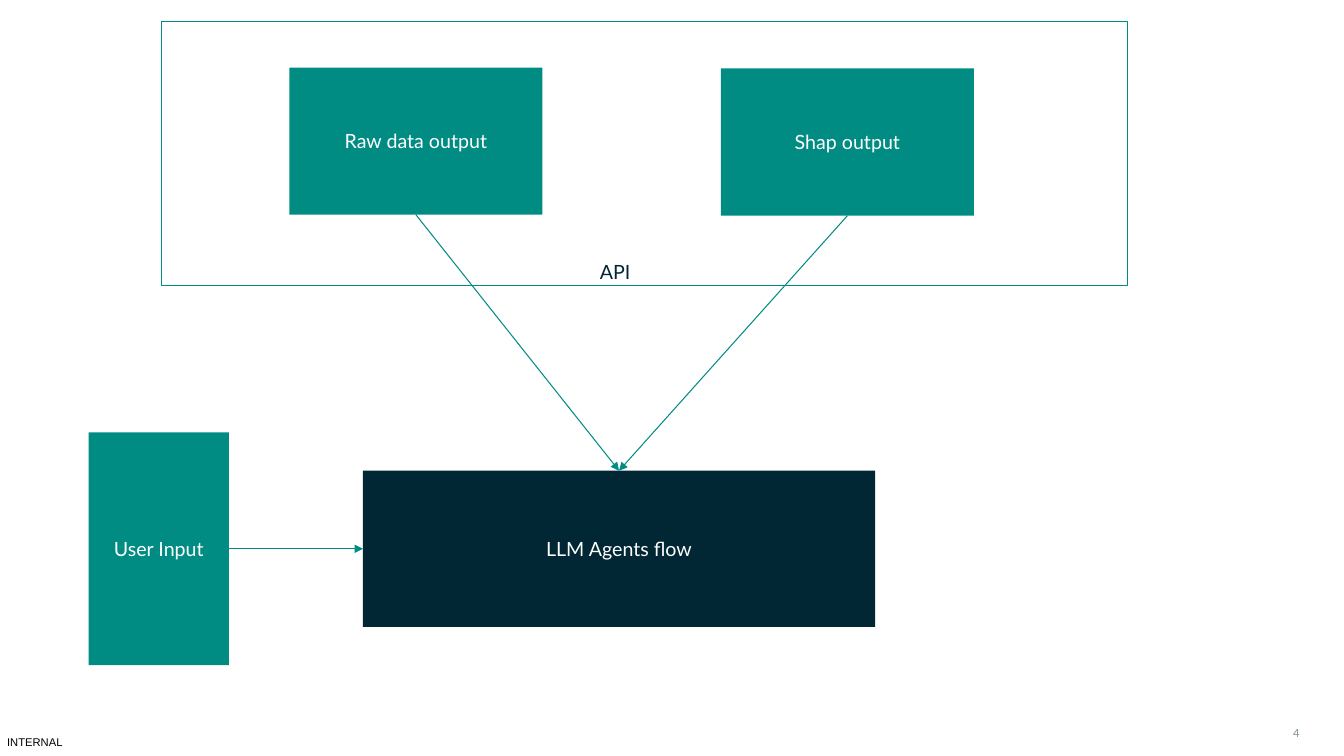
from dataclasses import dataclass

from lxml.etree import SubElement
from pptx import Presentation
from pptx.dml.color import RGBColor as Rgb
from pptx.enum.shapes import MSO_CONNECTOR as Link, MSO_SHAPE as Shape
from pptx.enum.text import MSO_ANCHOR as Anchor, PP_ALIGN as Align
from pptx.oxml.ns import qn
from pptx.util import Inches, Pt

TOP, LEFT, BOTTOM, RIGHT = range(4)


@dataclass(frozen=True)
class Theme:
    """Colours, fonts and sizes of the slide."""
    teal: str = "008C82"
    navy: str = "002733"
    white: str = "FFFFFF"
    black: str = "000000"
    grey: str = "809399"
    font: str = "Lato"
    plain: str = "Arial"
    body: float = 14
    small: float = 8
    line: float = 0.75
    pad: float = 0.2


class Flow:
    """Draws boxes, labels and arrows on one slide."""

    def __init__(self, slide, theme):
        self.shapes = slide.shapes
        self.theme = theme

    def letter(self, frame, text, color, size, font, align, anchor, pad):
        frame.word_wrap = True
        frame.vertical_anchor = anchor
        frame.margin_left = frame.margin_right = Inches(pad)
        frame.margin_top = frame.margin_bottom = Inches(pad)
        frame.text = text
        para = frame.paragraphs[0]
        para.alignment = align
        face = para.runs[0].font
        face.name, face.size = font, Pt(size)
        face.color.rgb = Rgb.from_string(color)

    def rect(self, area):
        shape = self.shapes.add_shape(Shape.RECTANGLE, *map(Inches, area))
        shape.shadow.inherit = False
        return shape

    def box(self, text, area, fill):
        shape = self.rect(area)
        shape.fill.solid()
        shape.fill.fore_color.rgb = Rgb.from_string(fill)
        shape.line.fill.background()
        look = self.theme
        self.letter(shape.text_frame, text, look.white, look.body, look.font,
                    Align.CENTER, Anchor.MIDDLE, look.pad)
        return shape

    def frame(self, area):
        shape = self.rect(area)
        shape.fill.background()
        self.stroke(shape.line)

    def label(self, text, area, color, size, font,
              align=Align.LEFT, anchor=Anchor.TOP):
        box = self.shapes.add_textbox(*map(Inches, area))
        self.letter(box.text_frame, text, color, size, font, align, anchor, 0)

    def stroke(self, line):
        line.color.rgb = Rgb.from_string(self.theme.teal)
        line.width = Pt(self.theme.line)

    def arrow(self, start, out, end, into):
        link = self.shapes.add_connector(Link.STRAIGHT, 0, 0, 0, 0)
        link.begin_connect(start, out)
        link.end_connect(end, into)
        self.stroke(link.line)
        props = link._element.spPr
        SubElement(props.find(qn("a:ln")), qn("a:tailEnd"), type="triangle")
        SubElement(props, qn("a:effectLst"))


def main():
    """Build the agent flow slide."""
    deck = Presentation()
    deck.slide_width, deck.slide_height = Inches(13.33), Inches(7.5)
    look = Theme()
    flow = Flow(deck.slides.add_slide(deck.slide_layouts[6]), look)

    flow.label("INTERNAL", (0.07, 7.3, 0.58, 0.13),
               look.black, look.small, look.plain)
    flow.label("4", (12.5, 7.2, 0.39, 0.14), look.grey, look.small, look.font,
               Align.RIGHT, Anchor.MIDDLE)

    raw = flow.box("Raw data output", (2.87, 0.67, 2.51, 1.46), look.teal)
    agents = flow.box("LLM Agents flow", (3.6, 4.67, 5.08, 1.55), look.navy)
    shap = flow.box("Shap output", (7.15, 0.68, 2.51, 1.46), look.teal)
    flow.frame((1.6, 0.21, 9.58, 2.62))
    flow.label("API", (5.95, 2.58, 1.01, 0.24),
               look.navy, look.body, look.font)
    user = flow.box("User Input", (0.88, 4.29, 1.39, 2.31), look.teal)

    for data in (raw, shap):
        flow.arrow(data, BOTTOM, agents, TOP)
    flow.arrow(user, RIGHT, agents, LEFT)

    deck.save("out.pptx")


if __name__ == "__main__":
    main()
